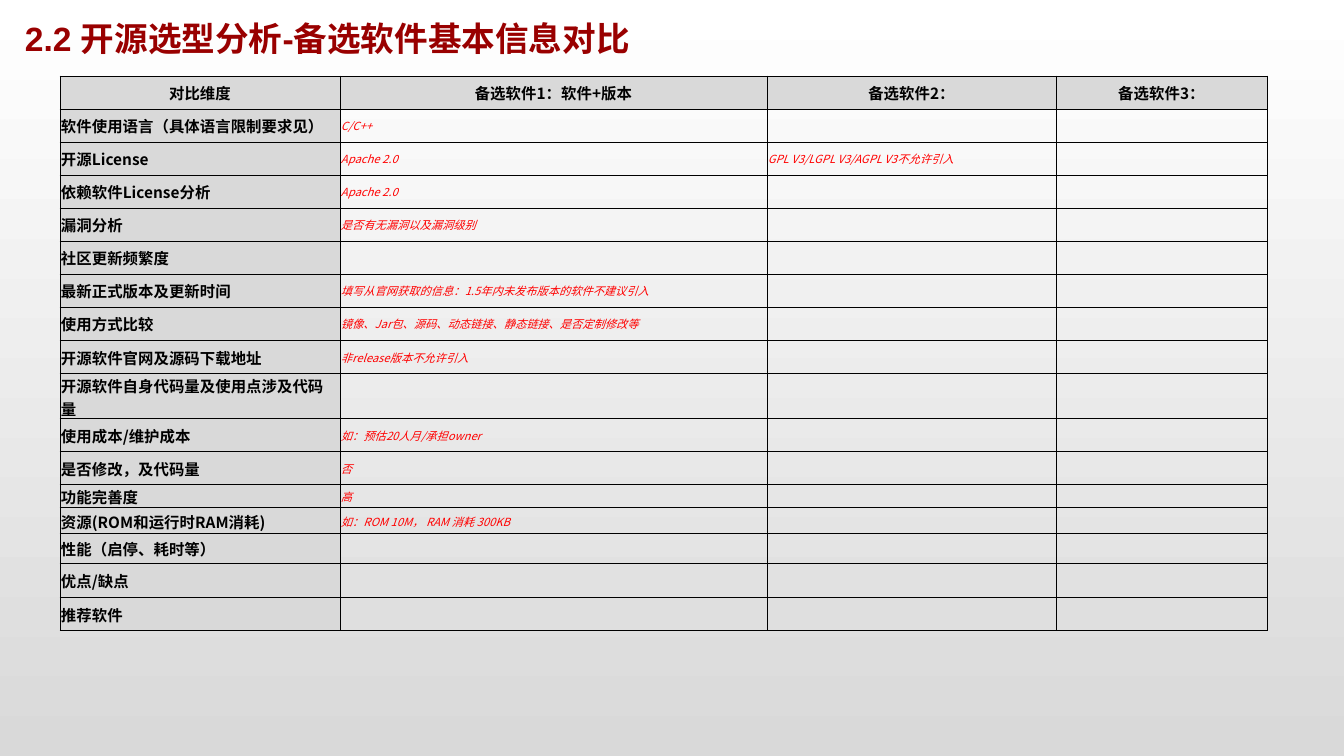
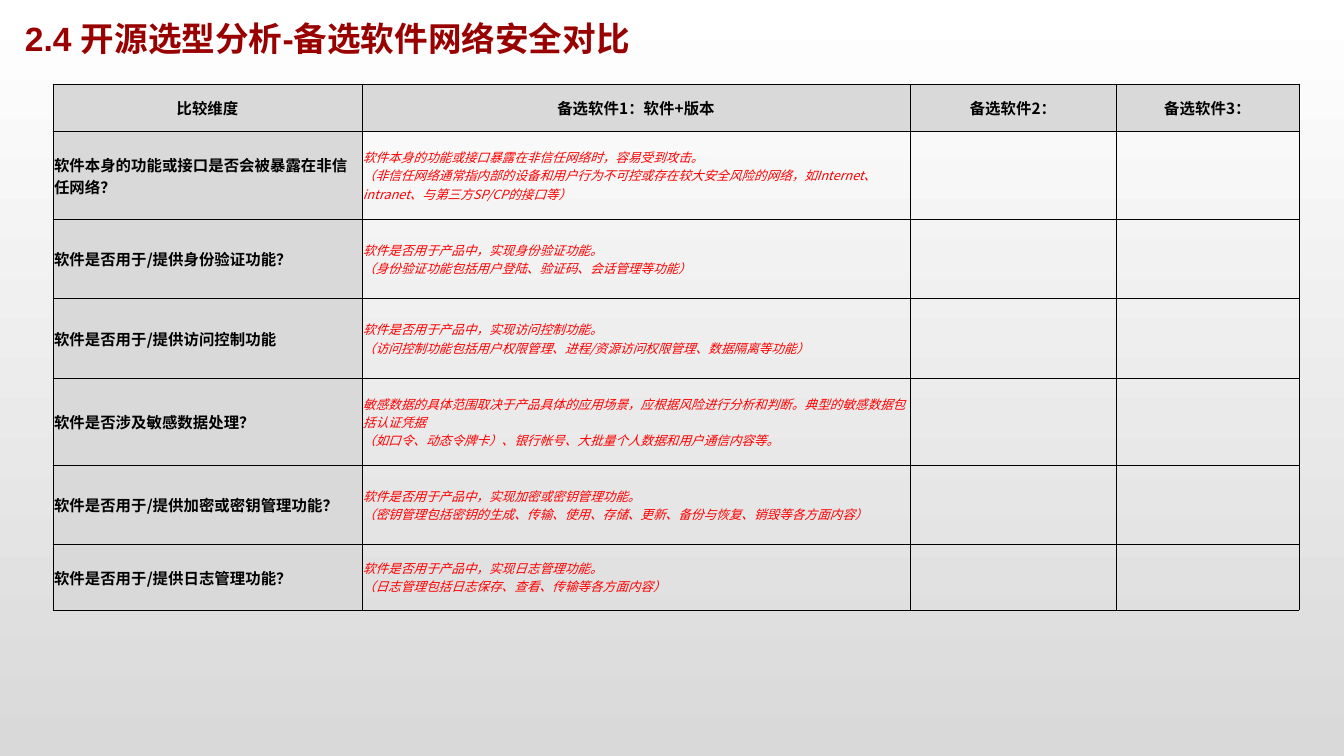
import lxml.etree
import pptx
import pptx.dml.color
import pptx.enum.text
import pptx.oxml.ns
import pptx.util

# Content: (dimension, note for software 1, note for software 2)
BASIC_ROWS = [
    ("软件使用语言（具体语言限制要求见）", "C/C++"),
    ("开源License", "Apache 2.0", "GPL V3/LGPL V3/AGPL V3不允许引入"),
    ("依赖软件License分析", "Apache 2.0"),
    ("漏洞分析", "是否有无漏洞以及漏洞级别"),
    ("社区更新频繁度",),
    ("最新正式版本及更新时间", "填写从官网获取的信息：1.5年内未发布版本的软件不建议引入"),
    ("使用方式比较", "镜像、Jar包、源码、动态链接、静态链接、是否定制修改等"),
    ("开源软件官网及源码下载地址", "非release版本不允许引入"),
    ("开源软件自身代码量及使用点涉及代码量",),
    ("使用成本/维护成本", "如：预估20人月/承担owner"),
    ("是否修改，及代码量", "否"),
    ("功能完善度", "高"),
    ("资源(ROM和运行时RAM消耗)", "如：ROM 10M， RAM 消耗 300KB"),
    ("性能（启停、耗时等）",),
    ("优点/缺点",),
    ("推荐软件",),
]
SECURITY_ROWS = [
    ("软件本身的功能或接口是否会被暴露在非信任网络？",
     "软件本身的功能或接口暴露在非信任网络时，容易受到攻击。\n"
     "（非信任网络通常指内部的设备和用户行为不可控或存在较大安全风险的网络，"
     "如Internet、intranet、与第三方SP/CP的接口等）"),
    ("软件是否用于/提供身份验证功能？",
     "软件是否用于产品中，实现身份验证功能。\n"
     "（身份验证功能包括用户登陆、验证码、会话管理等功能）"),
    ("软件是否用于/提供访问控制功能",
     "软件是否用于产品中，实现访问控制功能。\n"
     "（访问控制功能包括用户权限管理、进程/资源访问权限管理、数据隔离等功能）"),
    ("软件是否涉及敏感数据处理？",
     "敏感数据的具体范围取决于产品具体的应用场景，应根据风险进行分析和判断。"
     "典型的敏感数据包括认证凭据\n"
     "（如口令、动态令牌卡）、银行帐号、大批量个人数据和用户通信内容等。"),
    ("软件是否用于/提供加密或密钥管理功能？",
     "软件是否用于产品中，实现加密或密钥管理功能。\n"
     "（密钥管理包括密钥的生成、传输、使用、存储、更新、备份与恢复、销毁等各方面内容）"),
    ("软件是否用于/提供日志管理功能？",
     "软件是否用于产品中，实现日志管理功能。\n"
     "（日志管理包括日志保存、查看、传输等各方面内容）"),
]
CANDIDATES = ("备选软件1：软件+版本", "备选软件2：", "备选软件3：")
COMPARISONS = [
    dict(title="2.2 开源选型分析-备选软件基本信息对比", title_height=96,
         corner="对比维度", rows=BASIC_ROWS, note_size=8, origin=(60, 76),
         widths=(280, 427, 289, 211),
         heights=[33] * 8 + [34, 45, 33, 33, 23, 26, 30, 34, 33]),
    dict(title="2.4 开源选型分析-备选软件网络安全对比", title_height=72,
         corner="比较维度", rows=SECURITY_ROWS, note_size=9, origin=(53, 84),
         widths=(309, 548, 206, 183),
         heights=(47, 88, 79, 80, 87, 79, 66)),
]

# Shared look
TITLE_RED = pptx.dml.color.RGBColor(0x99, 0x00, 0x00)
NOTE_RED = pptx.dml.color.RGBColor(0xFF, 0x00, 0x00)
BLACK = pptx.dml.color.RGBColor(0x00, 0x00, 0x00)
WHITE = pptx.dml.color.RGBColor(0xFF, 0xFF, 0xFF)
GREY = pptx.dml.color.RGBColor(0xD9, 0xD9, 0xD9)
CJK_FONT = "Noto Sans CJK SC"
ALIGN = pptx.enum.text.PP_ALIGN
MIDDLE = pptx.enum.text.MSO_ANCHOR.MIDDLE
SCALE = 914400 / 100.8


def px(length):
    return pptx.util.Emu(round(length * SCALE))


def write(frame, text, size=11, color=BLACK, font=CJK_FONT, bold=False,
          italic=False, align=ALIGN.LEFT):
    frame.word_wrap = True
    frame.text = text
    for paragraph in frame.paragraphs:
        paragraph.alignment = align
        # Keeps empty cells from stretching their row
        paragraph._p.get_or_add_endParaRPr().set("sz", str(size * 100))
        for run in paragraph.runs:
            run.font.size = pptx.util.Pt(size)
            run.font.color.rgb = color
            run.font.name = font
            run.font.bold = bold
            run.font.italic = italic
            east_asian = lxml.etree.SubElement(run.font._element, pptx.oxml.ns.qn("a:ea"))
            east_asian.set("typeface", CJK_FONT)


def add_borders(cell):
    properties = cell._tc.get_or_add_tcPr()
    for side in ("a:lnL", "a:lnR", "a:lnT", "a:lnB"):
        line = lxml.etree.SubElement(properties, pptx.oxml.ns.qn(side),
                                     w=str(pptx.util.Pt(0.5)))
        solid = lxml.etree.SubElement(line, pptx.oxml.ns.qn("a:solidFill"))
        lxml.etree.SubElement(solid, pptx.oxml.ns.qn("a:srgbClr"), val=str(BLACK))


def fill_cell(cell, text, is_header, is_dimension, note_size):
    cell.margin_left = cell.margin_right = cell.margin_top = px(1)
    cell.margin_bottom = 0
    cell.vertical_anchor = MIDDLE
    add_borders(cell)
    if is_header or is_dimension:
        cell.fill.solid()
        cell.fill.fore_color.rgb = GREY
        write(cell.text_frame, text, bold=True,
              align=ALIGN.CENTER if is_header else ALIGN.LEFT)
    else:
        cell.fill.background()
        write(cell.text_frame, text, size=note_size, color=NOTE_RED, italic=True)


def add_comparison(slide, title, title_height, corner, rows, note_size,
                   origin, widths, heights):
    # Title
    heading = slide.shapes.add_textbox(px(15), px(13), px(1174), px(title_height))
    write(heading.text_frame, title, size=24, color=TITLE_RED, font="Arial", bold=True)

    # Comparison table
    lines = [(corner, *CANDIDATES), *rows]
    left, top = origin
    table = slide.shapes.add_table(len(lines), len(widths), px(left), px(top),
                                   px(sum(widths)), px(sum(heights))).table
    table.first_row = table.horz_banding = False
    for column, width in zip(table.columns, widths):
        column.width = px(width)
    for row_index, (row, height, line) in enumerate(zip(table.rows, heights, lines)):
        row.height = px(height)
        for column_index, cell in enumerate(row.cells):
            text = line[column_index] if column_index < len(line) else ""
            fill_cell(cell, text, row_index == 0, column_index == 0, note_size)


deck = pptx.Presentation()
deck.slide_width, deck.slide_height = px(1344), px(756)

# Background shared through the master, white at the top
backdrop = deck.slide_master.background.fill
backdrop.gradient()
backdrop.gradient_angle = 270
for stop, color in zip(backdrop.gradient_stops, (WHITE, GREY)):
    stop.color.rgb = color

for comparison in COMPARISONS:
    add_comparison(deck.slides.add_slide(deck.slide_layouts[6]), **comparison)

deck.save("out.pptx")
